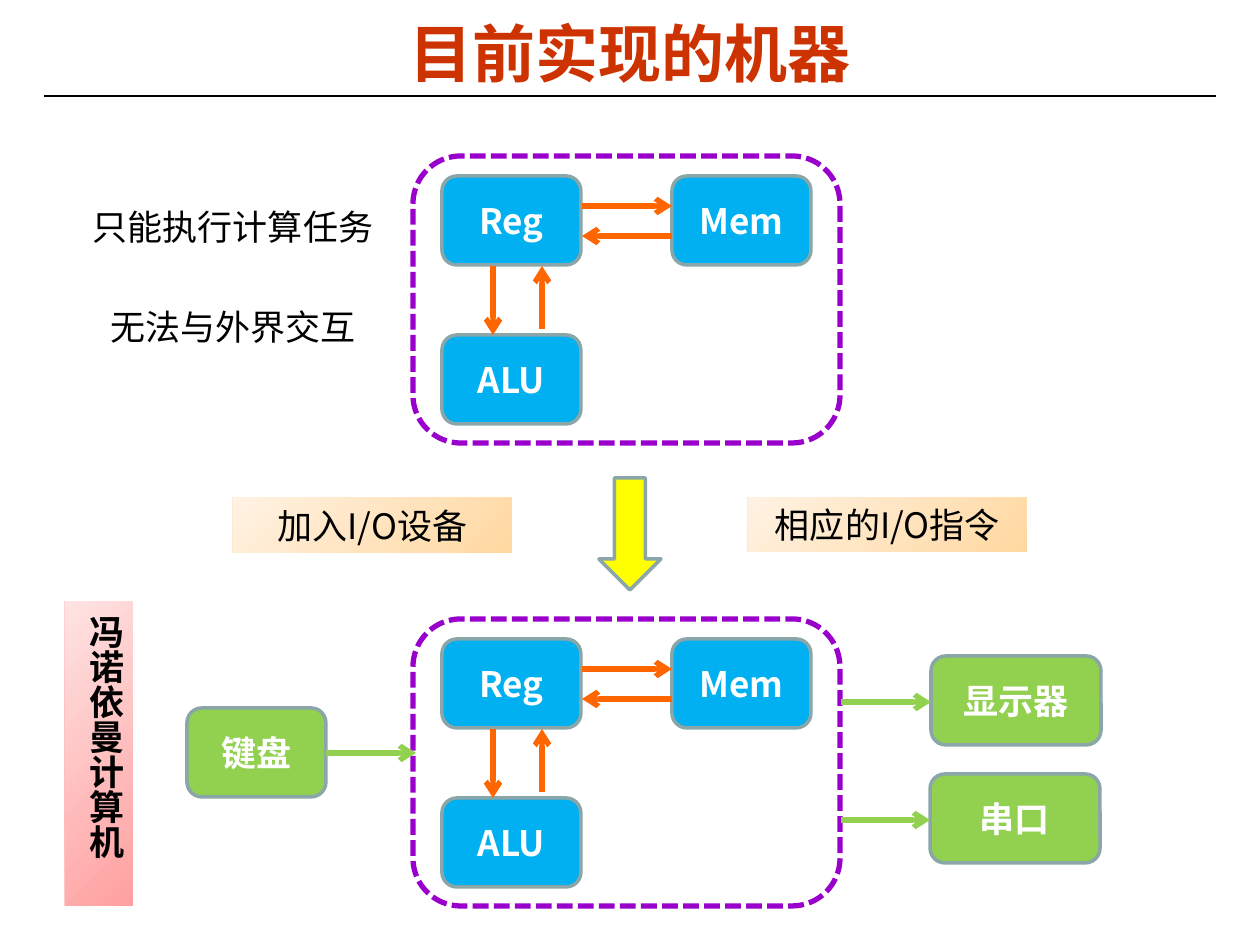
from lxml.etree import SubElement
from pptx import Presentation
from pptx.dml.color import RGBColor
from pptx.enum.dml import MSO_LINE
from pptx.enum.shapes import MSO_CONNECTOR, MSO_SHAPE
from pptx.enum.text import MSO_ANCHOR, PP_ALIGN
from pptx.oxml.ns import qn
from pptx.util import Emu, Pt

SCALE = 914400 / 126
BLUE, GREEN, ORANGE, PURPLE = "00B0F0", "92D050", "FF6600", "9900CC"
PEACH = ("FFD8A0", "FFF2E3")
PINK = ("FFA0A0", "FFE3E3")


def px(value):
    return Emu(round(value * SCALE))


def color(value):
    return RGBColor.from_string(value)


class Canvas:
    font = "Noto Sans CJK SC"
    outline = "8AA6A8"

    def __init__(self, slide):
        self.slide = slide

    def label(self, shape, text, ink="000000", bold=False, size=20, font=None,
              anchor=MSO_ANCHOR.TOP):
        frame = shape.text_frame
        frame.text = text
        frame.word_wrap = True
        frame.vertical_anchor = anchor
        para = frame.paragraphs[0]
        para.alignment = PP_ALIGN.CENTER
        for span in para.runs:
            span.font.name = font or self.font
            span.font.size = Pt(size)
            span.font.bold = bold
            span.font.color.rgb = color(ink)
            east_asian = SubElement(span.font._element, qn("a:ea"))
            east_asian.set("typeface", self.font)

    def title(self, text, *place):
        title = self.slide.shapes.title
        title.left, title.top, title.width, title.height = map(px, place)
        self.label(title, text, "CC3300", True, 36, "Arial", MSO_ANCHOR.MIDDLE)

    def shape(self, kind, place, fill=None, line=None, width=2):
        shape = self.slide.shapes.add_shape(kind, *map(px, place))
        shape.shadow.inherit = False
        if fill:
            shape.fill.solid()
            shape.fill.fore_color.rgb = color(fill)
        else:
            shape.fill.background()
        if line:
            shape.line.color.rgb = color(line)
            shape.line.width = Pt(width)
        else:
            shape.line.fill.background()
        return shape

    def block(self, text, fill, left, top, width=139, height=89):
        box = self.shape(MSO_SHAPE.ROUNDED_RECTANGLE, (left, top, width, height),
                         fill, self.outline)
        self.label(box, text, "FFFFFF", True, anchor=MSO_ANCHOR.MIDDLE)

    def frame(self, *place):
        frame = self.shape(MSO_SHAPE.ROUNDED_RECTANGLE, place, None, PURPLE, 3)
        frame.line.dash_style = MSO_LINE.SQUARE_DOT
        frame.line._ln.find(qn("a:prstDash")).set("val", "sysDash")

    def line(self, ink, *ends, width=3, arrow=True):
        line = self.slide.shapes.add_connector(MSO_CONNECTOR.STRAIGHT, *map(px, ends))
        line.line.color.rgb = color(ink)
        line.line.width = Pt(width)
        if arrow:
            SubElement(line.line._ln, qn("a:tailEnd")).set("type", "arrow")
        SubElement(line._element.spPr, qn("a:effectLst"))

    def note(self, text, *place):
        box = self.slide.shapes.add_textbox(*map(px, place))
        self.label(box, text)

    def banner(self, text, stops, *place, vertical=False):
        box = self.shape(MSO_SHAPE.RECTANGLE, place)
        box.fill.gradient()
        box.fill.gradient_angle = 135
        for stop, value in zip(box.fill.gradient_stops, stops):
            stop.color.rgb = color(value)
        self.label(box, text, bold=vertical)
        if vertical:
            box.text_frame._txBody.bodyPr.set("vert", "eaVert")

    def machine(self, top):
        for text, left, drop in (("Reg", 442, 20), ("ALU", 442, 179), ("Mem", 672, 20)):
            self.block(text, BLUE, left, top + drop)
        for x1, y1, x2, y2 in ((493, 110, 493, 179), (542, 173, 542, 110),
                               (672, 80, 582, 80), (582, 50, 672, 50)):
            self.line(ORANGE, x1, top + y1, x2, top + y2)
        self.frame(413, top, 427, 287)


deck = Presentation()
deck.slide_width, deck.slide_height = px(1260), px(945)
page = Canvas(deck.slides.add_slide(deck.slide_layouts[5]))

page.line("000000", 44, 96, 1216, 96, width=0.75, arrow=False)
page.title("目前实现的机器", 63, 14, 1134, 77)

for machine_top in (156, 619):
    page.machine(machine_top)

page.block("键盘", GREEN, 187, 708)
page.block("显示器", GREEN, 931, 656, width=170)
page.block("串口", GREEN, 930, 774, width=170)
page.line(GREEN, 326, 753, 416, 753)
page.line(GREEN, 841, 702, 931, 702)
page.line(GREEN, 841, 820, 930, 820)

page.shape(MSO_SHAPE.DOWN_ARROW, (599, 478, 62, 112), "FFFF00", page.outline)

page.note("只能执行计算任务", 72, 199, 322, 55)
page.note("无法与外界交互", 72, 299, 322, 55)
page.banner("加入I/O设备", PEACH, 233, 498, 279, 55)
page.banner("相应的I/O指令", PEACH, 748, 497, 279, 55)
page.banner("冯诺依曼计算机", PINK, 65, 602, 68, 304, vertical=True)

deck.save("out.pptx")
